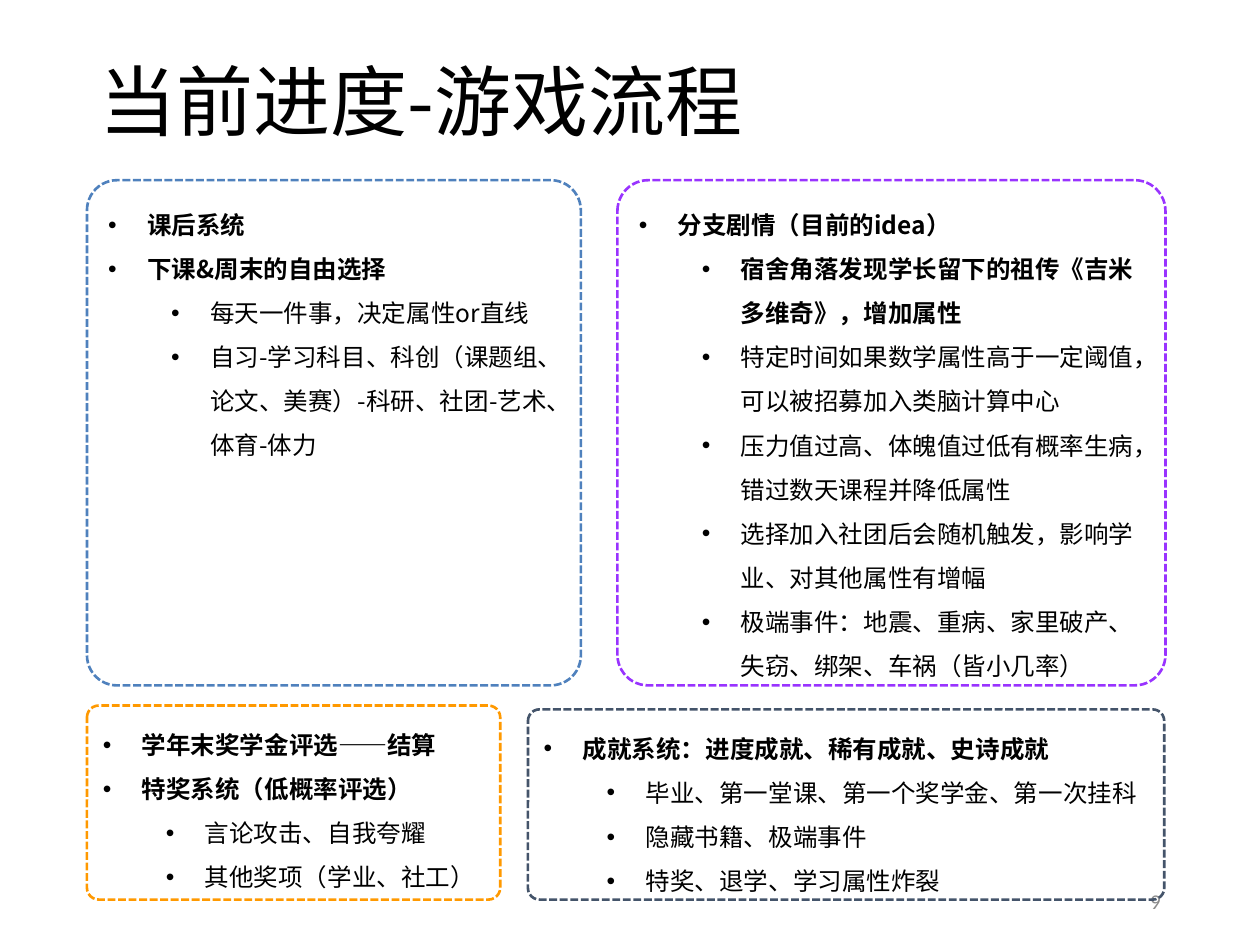
from lxml import etree
from pptx import Presentation
from pptx.dml.color import RGBColor
from pptx.enum.dml import MSO_LINE
from pptx.enum.shapes import MSO_SHAPE
from pptx.enum.text import MSO_ANCHOR, PP_ALIGN
from pptx.oxml.ns import qn
from pptx.util import Inches, Pt

CJK_FONT = "Noto Sans CJK SC"
LEFT, TOP, PANEL_HEIGHT = 0.69, 1.43, 4.01

# Each item is (text, indent level, bold).
PANELS = [
    ((LEFT, TOP, 3.92, PANEL_HEIGHT), "4F81BD", [
        ("课后系统", 0, True),
        ("下课&周末的自由选择", 0, True),
        ("每天一件事，决定属性or直线", 1, False),
        ("自习-学习科目、科创（课题组、论文、美赛）-科研、社团-艺术、体育-体力", 1, False),
    ]),
    ((4.9, TOP, 4.35, PANEL_HEIGHT), "9933FF", [
        ("分支剧情（目前的idea）", 0, True),
        ("宿舍角落发现学长留下的祖传《吉米多维奇》，增加属性", 1, True),
        ("特定时间如果数学属性高于一定阈值，可以被招募加入类脑计算中心", 1, False),
        ("压力值过高、体魄值过低有概率生病，错过数天课程并降低属性", 1, False),
        ("选择加入社团后会随机触发，影响学业、对其他属性有增幅", 1, False),
        ("极端事件：地震、重病、家里破产、失窃、绑架、车祸（皆小几率）", 1, False),
    ]),
    ((LEFT, 5.6, 3.28, 1.54), "FF9900", [
        ("学年末奖学金评选——结算", 0, True),
        ("特奖系统（低概率评选）", 0, True),
        ("言论攻击、自我夸耀", 1, False),
        ("其他奖项（学业、社工）", 1, False),
    ]),
    ((4.19, 5.63, 5.05, 1.51), "44546A", [
        ("成就系统：进度成就、稀有成就、史诗成就", 0, True),
        ("毕业、第一堂课、第一个奖学金、第一次挂科", 1, False),
        ("隐藏书籍、极端事件", 1, False),
        ("特奖、退学、学习属性炸裂", 1, False),
    ]),
]


def color(value):
    """Turn a hex string into a colour."""
    return RGBColor.from_string(value)


def write_text(paragraph, text, size=14, font=CJK_FONT, fill="000000", bold=False,
               align=PP_ALIGN.LEFT, spacing=1.0):
    """Write one formatted run into a paragraph."""
    paragraph.alignment = align
    paragraph.line_spacing = spacing
    run = paragraph.add_run()
    run.text = text
    run.font.size = Pt(size)
    run.font.bold = bold
    run.font.name = font
    run.font.color.rgb = color(fill)
    east_asian = etree.SubElement(run.font._element, qn("a:ea"))
    east_asian.set("typeface", font)


def add_bullet(paragraph, level):
    """Give a paragraph a hanging bullet at its level."""
    paragraph.level = level
    properties = paragraph._p.get_or_add_pPr()
    properties.set("marL", str(Inches(0.31 + 0.5 * level)))
    properties.set("indent", str(-Inches(0.31)))
    etree.SubElement(properties, qn("a:buFont")).set("typeface", "Arial")
    etree.SubElement(properties, qn("a:buChar")).set("char", "•")


def add_label(slide, box, text, **text_format):
    """Place a single line of text, centred vertically in its box."""
    shape = slide.shapes.add_textbox(*map(Inches, box))
    frame = shape.text_frame
    frame.word_wrap = True
    frame.vertical_anchor = MSO_ANCHOR.MIDDLE
    write_text(frame.paragraphs[0], text, **text_format)


def add_panel(slide, box, outline, items):
    """Place a dashed rounded panel with a bulleted list."""
    shape = slide.shapes.add_shape(MSO_SHAPE.ROUNDED_RECTANGLE, *map(Inches, box))
    shape.adjustments[0] = 0.061
    shape.shadow.inherit = False
    shape.fill.background()
    shape.line.color.rgb = color(outline)
    shape.line.width = Pt(1.5)
    shape.line.dash_style = MSO_LINE.SQUARE_DOT
    frame = shape.text_frame
    frame.word_wrap = True
    frame.vertical_anchor = MSO_ANCHOR.TOP
    for index, (text, level, bold) in enumerate(items):
        paragraph = frame.add_paragraph() if index else frame.paragraphs[0]
        write_text(paragraph, text, bold=bold, spacing=1.5)
        add_bullet(paragraph, level)


def main():
    """Build and save the slide."""
    presentation = Presentation()
    presentation.slide_width = Inches(10)
    presentation.slide_height = Inches(7.5)
    slide = presentation.slides.add_slide(presentation.slide_layouts[6])
    add_label(slide, (LEFT, 0.4, 8.62, 0.88), "当前进度-游戏流程", size=44, spacing=0.9)
    add_label(slide, (7.06, 6.95, 2.25, 0.4), "9", size=12, font="Calibri",
              fill="8C8C8C", align=PP_ALIGN.RIGHT)
    for box, outline, items in PANELS:
        add_panel(slide, box, outline, items)
    presentation.save("out.pptx")


if __name__ == "__main__":
    main()
